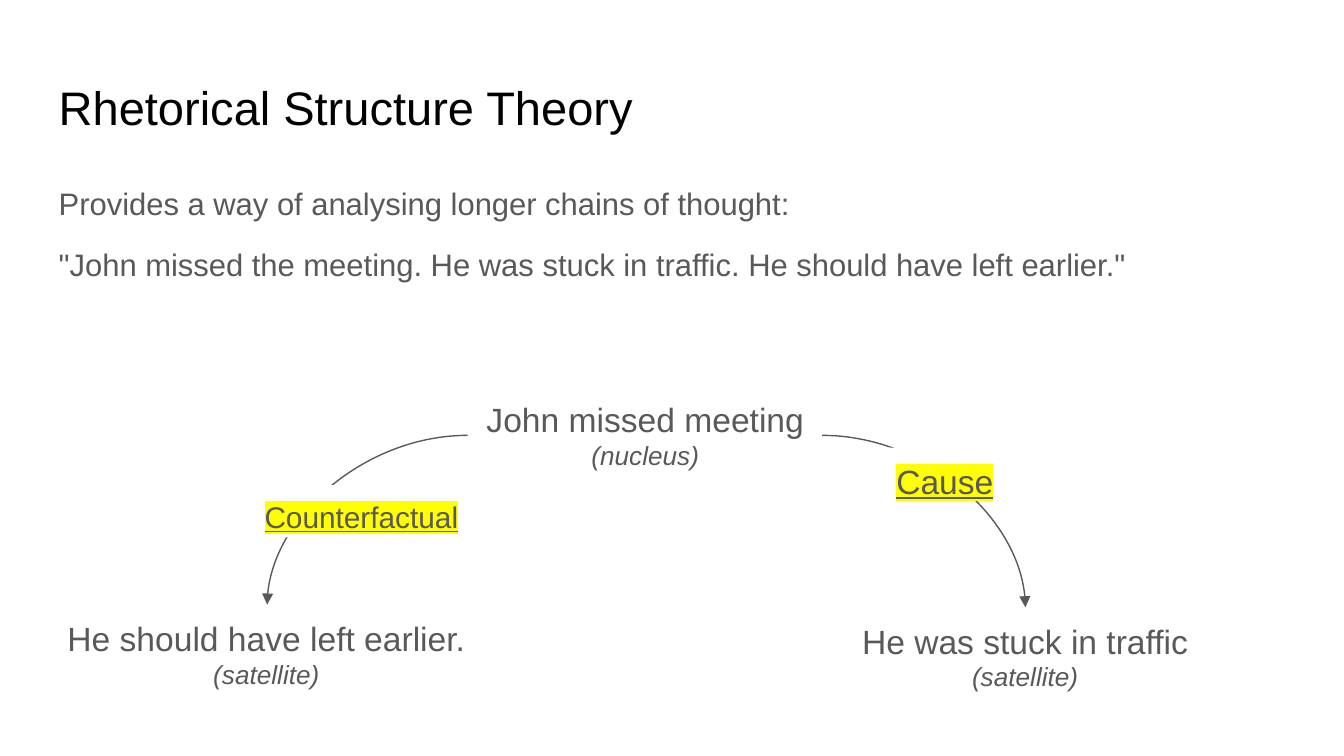
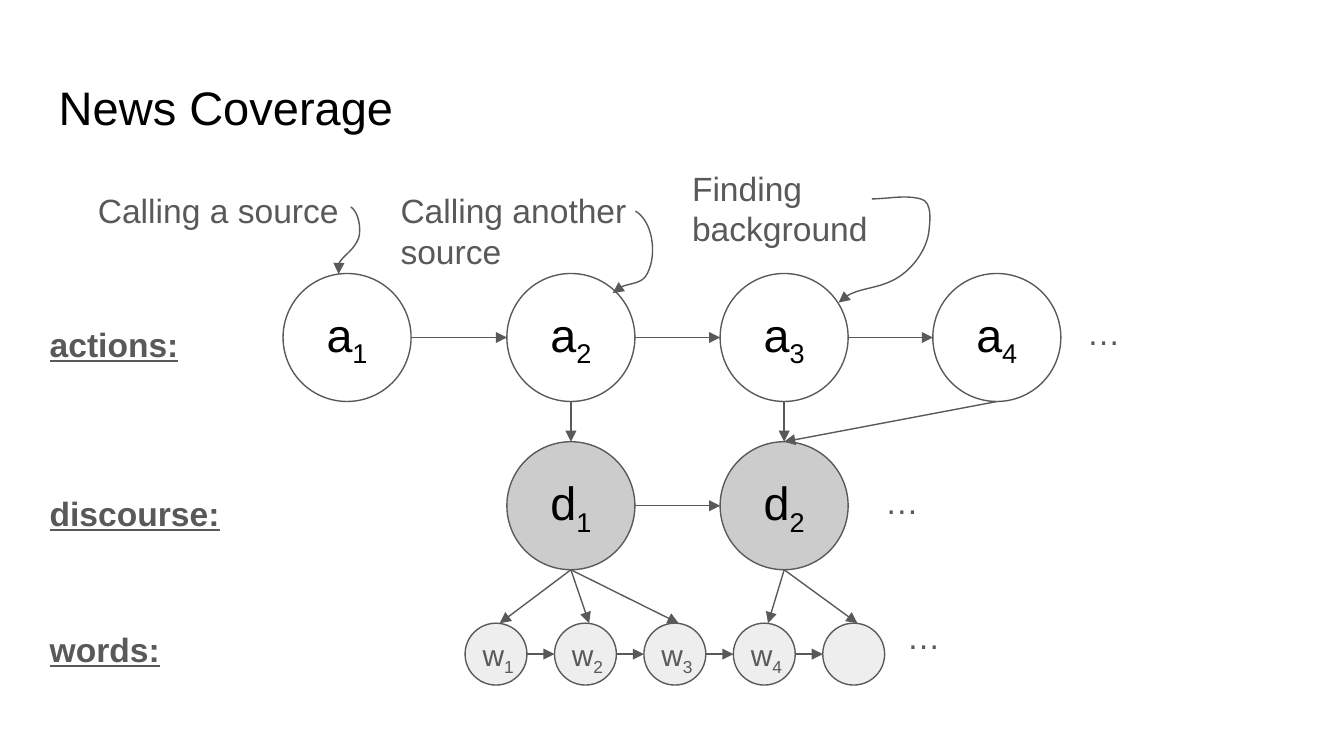
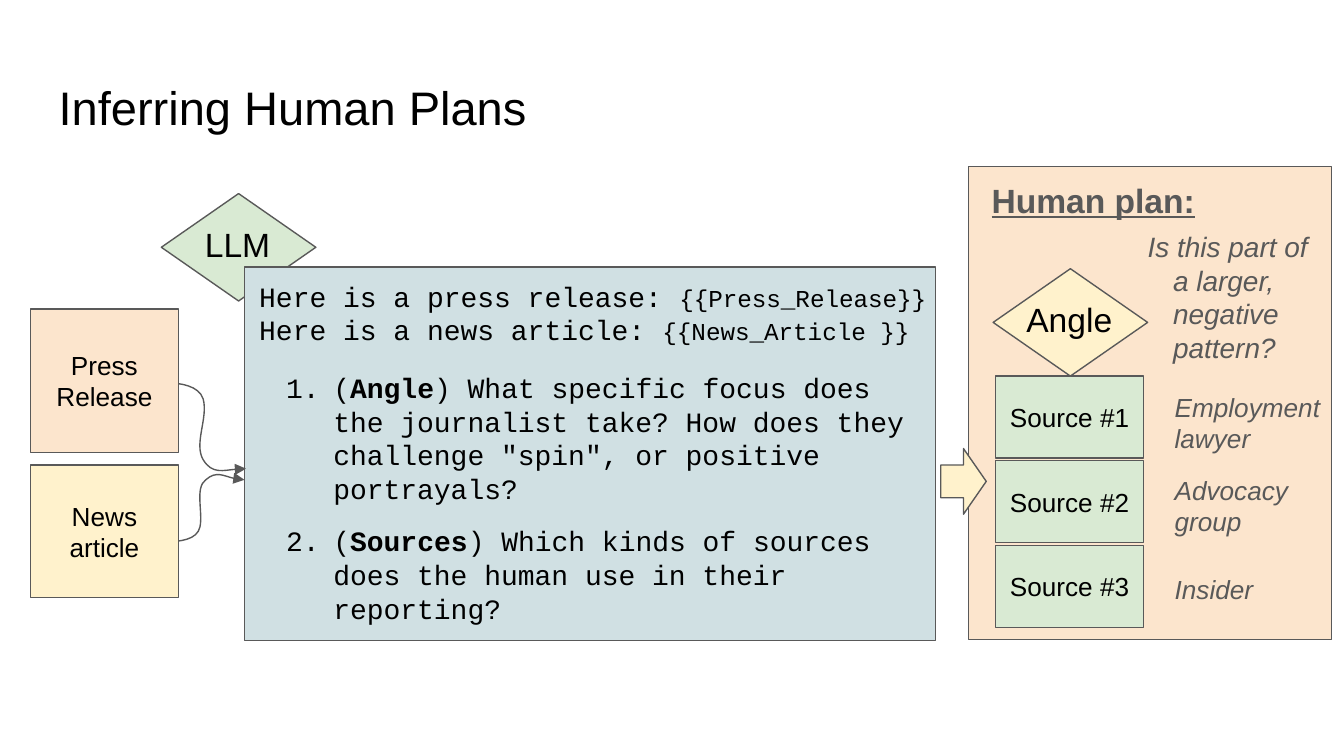
from dataclasses import dataclass

import pptx
import pptx.dml.color
import pptx.enum.shapes
import pptx.enum.text
import pptx.oxml
import pptx.oxml.ns
import pptx.util
from lxml import etree

Cm = pptx.util.Cm
Pt = pptx.util.Pt
qn = pptx.oxml.ns.qn
SHAPE = pptx.enum.shapes.MSO_SHAPE
CONNECTOR = pptx.enum.shapes.MSO_CONNECTOR
ALIGN = pptx.enum.text.PP_ALIGN
ANCHOR = pptx.enum.text.MSO_ANCHOR


@dataclass(frozen=True)
class Theme:
    font: str = "Arial"
    code_font: str = "Courier New"
    black: str = "000000"
    grey: str = "595959"
    white: str = "FFFFFF"
    mid_grey: str = "CCCCCC"
    pale_grey: str = "EEEEEE"
    green: str = "D9EAD3"
    yellow: str = "FFF2CC"
    peach: str = "FCE5CD"
    blue: str = "D0E0E3"
    marker: str = "FFFF00"
    title: float = 25.2
    symbol: float = 25
    heading: float = 18
    body: float = 16.6
    label: float = 16
    prompt: float = 15
    small: float = 14
    variable: float = 13
    line: float = 0.75
    inset: float = 0.25


T = Theme()


def rgb(value):
    return pptx.dml.color.RGBColor.from_string(value)


class Deck:
    def __init__(self):
        self.prs = pptx.Presentation()
        self.prs.slide_width, self.prs.slide_height = Cm(25.4), Cm(14.29)
        self.s = None

    def slide(self, title):
        self.s = self.prs.slides.add_slide(self.prs.slide_layouts[6])
        self.text(0.86, 1.24, 23.67, 1.6, [title], size=T.title, color=T.black)

    def fill_text(self, sp, paragraphs, align=ALIGN.LEFT, anchor=ANCHOR.TOP,
                  number=False, para=None, before=0, **style):
        """Fill a shape; a paragraph is a string or a list of strings and (string, style) runs."""
        tf = sp.text_frame
        frame = {"word_wrap": True, "vertical_anchor": anchor}
        frame.update({f"margin_{side}": Cm(T.inset) for side in ("left", "top", "right", "bottom")})
        for name, value in frame.items():
            setattr(tf, name, value)
        for i, runs in enumerate(paragraphs):
            p = tf.add_paragraph() if i else tf.paragraphs[0]
            p.alignment = align
            if i and before:
                p.space_before = Pt(before)
            for name, value in (para or {}).items():
                setattr(p, name, value)
            if number:
                self.indent(p, 1.27, -0.89)
                etree.SubElement(p._p.get_or_add_pPr(), qn("a:buAutoNum"), type="arabicPeriod")
            for run in [runs] if isinstance(runs, str) else runs:
                text, extra = (run, {}) if isinstance(run, str) else run
                r = p.add_run()
                r.text = text
                self.style_run(r, {**style, **extra})

    def style_run(self, r, style):
        values = {"name": T.font, "size": T.heading, "color": T.grey, **style}
        color = values.pop("color")
        highlight, subscript = values.pop("highlight", None), values.pop("subscript", False)
        values["size"] = Pt(values["size"])
        for name, value in values.items():
            setattr(r.font, name, value)
        r.font.color.rgb = rgb(color)
        rPr = r._r.get_or_add_rPr()
        if subscript:
            rPr.set("baseline", "-25000")
        if highlight:
            mark = etree.Element(qn("a:highlight"))
            etree.SubElement(mark, qn("a:srgbClr"), val=highlight)
            rPr.find(qn("a:latin")).addprevious(mark)

    def indent(self, p, left, first):
        pPr = p._p.get_or_add_pPr()
        pPr.set("marL", str(Cm(left)))
        pPr.set("indent", str(Cm(first)))

    def text(self, x, y, w, h, paragraphs, **style):
        sp = self.s.shapes.add_textbox(Cm(x), Cm(y), Cm(w), Cm(h))
        self.fill_text(sp, paragraphs, **style)
        return sp

    def shape(self, kind, x, y, w, h, fill, paragraphs=(), outlined=True, **style):
        sp = self.s.shapes.add_shape(kind, Cm(x), Cm(y), Cm(w), Cm(h))
        sp.shadow.inherit = False
        sp.fill.solid()
        sp.fill.fore_color.rgb = rgb(fill)
        if outlined:
            self.stroke(sp)
        else:
            sp.line.fill.background()
        self.fill_text(sp, paragraphs, **style)

    def box(self, x, y, w, h, fill, paragraphs):
        self.shape(SHAPE.RECTANGLE, x, y, w, h, fill, paragraphs, align=ALIGN.CENTER,
                   anchor=ANCHOR.MIDDLE, size=T.small, color=T.black)

    def diamond(self, x, y, fill, label):
        self.shape(SHAPE.DIAMOND, x, y, 2.92, 2.03, fill)
        self.text(x + 0.13, y + 0.32, 2.62, 1.3, [label], align=ALIGN.CENTER, color=T.black)

    def stroke(self, sp, arrow=False):
        sp.line.color.rgb = rgb(T.grey)
        sp.line.width = Pt(T.line)
        if arrow:
            etree.SubElement(sp._element.spPr.find(qn("a:ln")), qn("a:tailEnd"), type="triangle")

    def arrow(self, start, end, curved=False):
        kind = CONNECTOR.CURVE if curved else CONNECTOR.STRAIGHT
        sp = self.s.shapes.add_connector(kind, *map(Cm, start + end))
        spPr = sp._element.spPr
        if curved:
            spPr.find(qn("a:prstGeom")).set("prst", "curvedConnector2")
        self.stroke(sp, arrow=True)
        etree.SubElement(spPr, qn("a:effectLst"))

    def curve(self, start, *points):
        """Draw an arrow along cubic curves; each three points are two handles and an end."""
        builder = self.s.shapes.build_freeform(Cm(start[0]), Cm(start[1]))
        builder.add_line_segments([(Cm(x), Cm(y)) for x, y in points], close=False)
        sp = builder.convert_to_shape()
        outline = next(sp._element.spPr.iter(qn("a:path")))
        segments = outline.findall(qn("a:lnTo"))
        for i in range(0, len(segments), 3):
            cubic = etree.SubElement(outline, qn("a:cubicBezTo"))
            for segment in segments[i:i + 3]:
                cubic.append(segment[0])
                outline.remove(segment)
        sp.shadow.inherit = False
        sp.fill.background()
        self.stroke(sp, arrow=True)


def indexed(letter, number):
    return [[letter, (str(number), {"subscript": True})]]


def rhetorical_structure(d):
    d.slide("Rhetorical Structure Theory")
    d.text(0.86, 3.2, 23.67, 2.92, [
        "Provides a way of analysing longer chains of thought:",
        '"John missed the meeting. He was stuck in traffic. He should have left earlier."',
    ], size=T.body, before=12, para={"line_spacing": 1.05})
    for x, y, w, sentence, role in (
        (0.63, 11.43, 8.81, "He should have left earlier.", "(satellite)"),
        (8.84, 7.29, 6.71, "John missed meeting", "(nucleus)"),
        (15.88, 11.48, 6.99, "He was stuck in traffic", "(satellite)"),
    ):
        d.text(x, y, w, 1.88, [sentence, [(role, {"size": T.small, "italic": True})]],
               align=ALIGN.CENTER)
    for start, end, x, y, w, relation, size in (
        ((15.54, 8.23), (19.38, 11.48), 16.69, 8.46, 2.62, "Cause", T.heading),
        ((8.84, 8.23), (5.05, 11.43), 4.75, 9.17, 5.23, "Counterfactual", T.label),
    ):
        d.arrow(start, end, curved=True)
        d.shape(SHAPE.RECTANGLE, x, y, w, 0.99, T.white, [relation], outlined=False,
                size=size, underline=True, highlight=T.marker)


def news_coverage(d):
    d.slide("News Coverage")
    big, small = 2.42, 1.17
    action_y, discourse_y, word_y = 5.17, 8.35, 11.78
    action_xs = [5.35, 9.58, 13.61, 17.63]
    discourse_xs = action_xs[1:3]
    word_xs = [8.79 + 1.69 * i for i in range(5)]

    for letter, xs, y, fill in (("a", action_xs, action_y, T.white),
                                ("d", discourse_xs, discourse_y, T.mid_grey)):
        for i, x in enumerate(xs, 1):
            d.shape(SHAPE.OVAL, x, y, big, big, fill, indexed(letter, i), align=ALIGN.CENTER,
                    anchor=ANCHOR.MIDDLE, size=T.symbol, color=T.black)
    for i, x in enumerate(word_xs, 1):
        d.shape(SHAPE.OVAL, x, word_y, small, small, T.pale_grey)
        if i < len(word_xs):
            d.text(x + 0.08, word_y, small, small, indexed("w", i), size=T.label)

    for xs, y, size in ((action_xs, action_y, big), (discourse_xs, discourse_y, big),
                        (word_xs, word_y, small)):
        for x, following in zip(xs, xs[1:]):
            d.arrow((x + size, y + size / 2), (following, y + size / 2))
    for action, discourse in ((1, 0), (2, 1), (3, 1)):
        d.arrow((action_xs[action] + big / 2, action_y + big),
                (discourse_xs[discourse] + big / 2, discourse_y))
    for word, discourse in enumerate((0, 0, 0, 1, 1)):
        d.arrow((discourse_xs[discourse] + big / 2, discourse_y + big),
                (word_xs[word] + small / 2 + 0.07, word_y))

    for label, y, dots_x, dots_y in (("actions:", 5.87, 20.29, 5.64),
                                     ("discourse:", 9.07, 16.48, 8.84),
                                     ("words:", 11.63, 16.89, 11.4)):
        d.text(0.69, y, 4.19, 1.6, [label], bold=True, underline=True)
        d.text(dots_x, dots_y, 3.66, 1.17, ["…"])
    for x, y, caption in ((1.6, 3.35, "Calling a source"),
                          (7.32, 3.35, "Calling another source"),
                          (12.83, 2.92, "Finding background")):
        d.text(x, y, 5.13, 1.17, [caption])
    d.curve((6.63, 3.91), (6.78, 4.01), (6.83, 4.32), (6.78, 4.5),
            (6.68, 4.75), (6.27, 4.95), (6.4, 5.18))
    d.curve((12.01, 3.99), (12.34, 4.19), (12.42, 4.8), (12.24, 5.16),
            (12.14, 5.38), (11.76, 5.33), (11.58, 5.54))
    d.curve((16.48, 3.76), (16.79, 3.76), (17.09, 3.68), (17.4, 3.76),
            (17.63, 3.81), (17.58, 4.19), (17.55, 4.42),
            (17.48, 4.8), (17.17, 5.18), (16.81, 5.33),
            (16.51, 5.46), (16.08, 5.46), (15.85, 5.72))


def human_plans(d):
    d.slide("Inferring Human Plans")
    code = {"name": T.code_font, "size": T.prompt, "color": T.black}
    bold, variable = {"bold": True}, {"size": T.variable}
    d.diamond(3.05, 3.66, T.green, "LLM")
    d.shape(SHAPE.RECTANGLE, 4.62, 5.05, 13.06, 7.06, T.blue)
    d.text(4.78, 6.76, 13.06, 5.33, [
        ["(", ("Angle", bold), ") What specific focus does the journalist take? "
         'How does they challenge "spin", or positive portrayals?'],
        ["(", ("Sources", bold), ") Which kinds of sources does the human use in their reporting?"],
    ], number=True, before=10, **code)
    d.text(4.65, 5.03, 13.18, 1.8, [
        ["Here is a press release: ", ("{{Press_Release}}", variable)],
        ["Here is a news article: ", ("{{News_Article }}", variable)],
    ], **code)

    d.curve((3.18, 7.24), (3.4, 7.24), (3.76, 7.29), (3.84, 7.54),
            (3.94, 7.9), (3.66, 8.38), (3.84, 8.69),
            (4.01, 8.97), (4.37, 8.86), (4.65, 8.86))
    d.curve((3.15, 10.24), (3.38, 10.24), (3.73, 10.21), (3.78, 9.96),
            (3.84, 9.68), (3.68, 9.22), (3.89, 9.07),
            (4.09, 8.89), (4.37, 9.07), (4.62, 9.07))
    d.box(0.58, 8.79, 2.79, 2.51, T.yellow, ["News", "article"])
    d.box(0.58, 5.84, 2.79, 2.72, T.peach, ["Press", "Release"])

    d.shape(SHAPE.RECTANGLE, 18.31, 3.15, 6.86, 8.94, T.peach)
    for i, (y, role) in enumerate(((7.14, ["Employment", "lawyer"]),
                                   (8.71, ["Advocacy", "group"]),
                                   (10.59, ["Insider"]))):
        d.box(18.82, 7.11 + 1.6 * i, 2.79, 1.55, T.green, [f"Source #{i + 1}"])
        d.text(21.95, y, 4.7, 1.55, role, size=T.small, italic=True)
    d.diamond(18.77, 5.08, T.yellow, "Angle")
    d.shape(SHAPE.RIGHT_ARROW, 17.78, 8.48, 0.86, 1.24, T.yellow)
    question = d.text(21.44, 4.09, 3.78, 2.39, ["Is this part of a larger, negative pattern?"],
                      size=T.prompt, italic=True)
    d.indent(question.text_frame.paragraphs[0], 0.48, -0.48)
    d.text(18.49, 3.15, 4.65, 1.12, ["Human plan:"], bold=True, underline=True)


def main():
    d = Deck()
    rhetorical_structure(d)
    news_coverage(d)
    human_plans(d)
    d.prs.save("out.pptx")


if __name__ == "__main__":
    main()
